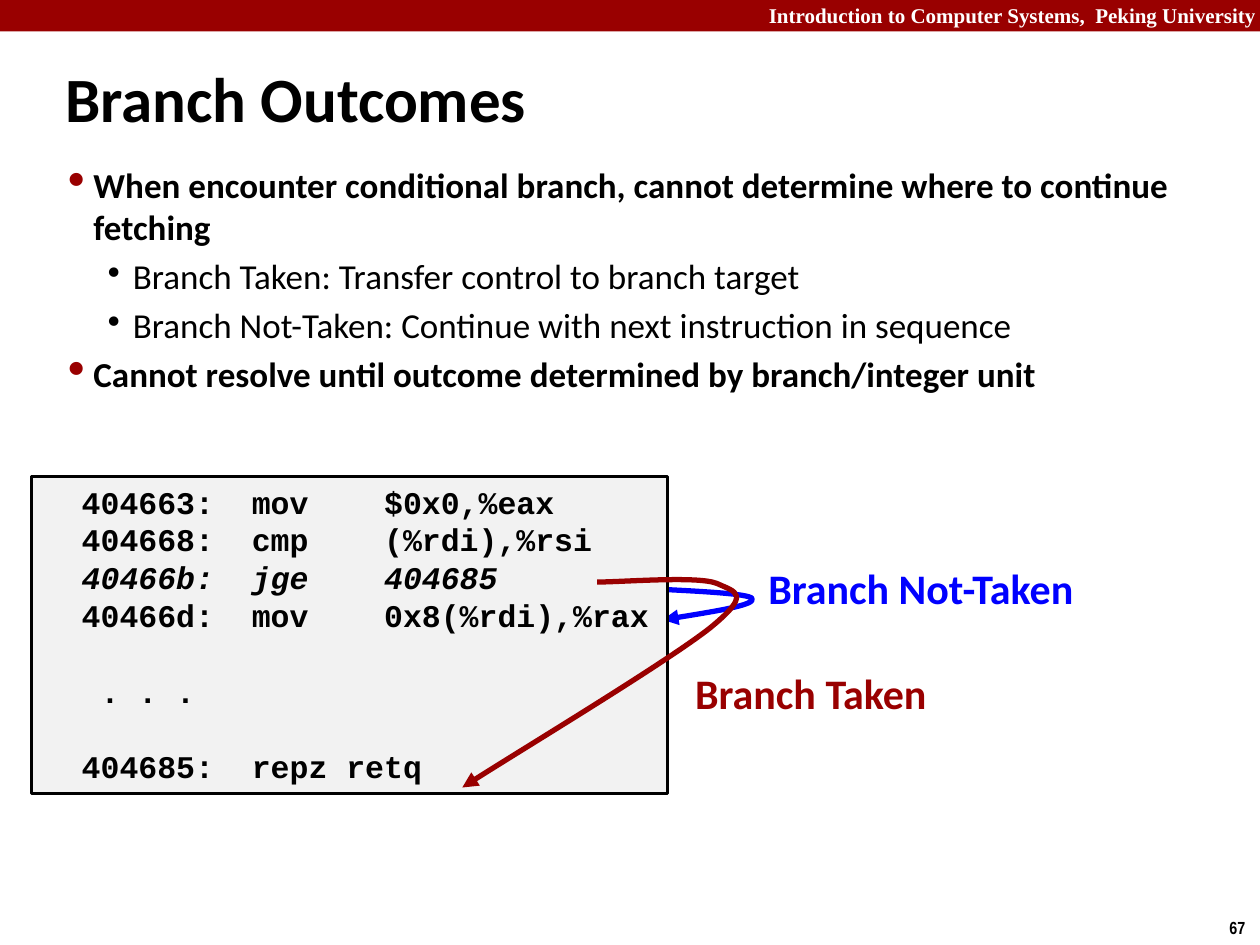
from pptx import Presentation
from pptx.dml.color import RGBColor
from pptx.enum.shapes import MSO_SHAPE
from pptx.enum.text import MSO_ANCHOR, PP_ALIGN
from pptx.oxml.ns import qn
from pptx.util import Pt
from lxml import etree

RECTANGLE = MSO_SHAPE.RECTANGLE
LEFT, RIGHT = PP_ALIGN.LEFT, PP_ALIGN.RIGHT
TOP, MIDDLE = MSO_ANCHOR.TOP, MSO_ANCHOR.MIDDLE

RED = RGBColor(0x99, 0x00, 0x00)
BLUE = RGBColor(0x00, 0x00, 0xFF)
BLACK = RGBColor(0x00, 0x00, 0x00)
WHITE = RGBColor(0xFF, 0xFF, 0xFF)
GRAY = RGBColor(0xF2, 0xF2, 0xF2)

COURSE = "Introduction to Computer Systems,  Peking University"
TITLE = "Branch Outcomes"
PAGE_NUMBER = "67"
BULLETS = [
    (1, "When encounter conditional branch, cannot determine where to continue fetching"),
    (2, "Branch Taken: Transfer control to branch target"),
    (2, "Branch Not-Taken: Continue with next instruction in sequence"),
    (1, "Cannot resolve until outcome determined by branch/integer unit"),
]
LEVELS = {
    1: {"indent": 22.5, "bold": True, "color": RED, "size": 110},
    2: {"indent": 45, "bold": False, "color": BLACK, "size": 80},
}
HANGING = 13.5
CODE = [
    "  404663:  mov    $0x0,%eax",
    "  404668:  cmp    (%rdi),%rsi",
    "  40466b:  jge    404685",
    "  40466d:  mov    0x8(%rdi),%rax",
    "",
    "   . . .",
    "",
    "  404685:  repz retq",
]
BRANCH_LINE = 2
LABELS = [
    ("Branch Taken", RED, (390.2, 378, 148.3, 36)),
    ("Branch Not-Taken", BLUE, (432, 318.2, 195.8, 36)),
]
NOT_TAKEN_CURVE = [
    (365.8, 336.2), (396.7, 337.7), (427.7, 339.1), (429.8, 342),
    (432, 345.6), (405.4, 349.9), (378.7, 354.2),
]
TAKEN_CURVE = [
    (341.3, 332.6), (355.7, 332.6), (398.9, 329), (409.7, 333.4),
    (420.5, 338.4), (429.8, 339.1), (406.1, 358.6),
    (381.6, 378), (287.3, 434.9), (264.2, 450),
]


def set_font(paragraph, name, size, color, bold=True):
    font = paragraph.font
    font.name, font.size, font.bold = name, Pt(size), bold
    font.color.rgb = color


def add_text(page, text, frame, name, size, color, align=LEFT, anchor=TOP, wrap=False):
    box = page.shapes.add_textbox(*map(Pt, frame))
    box.text_frame.word_wrap = wrap
    box.text_frame.vertical_anchor = anchor
    paragraph = box.text_frame.paragraphs[0]
    paragraph.text = text
    paragraph.alignment = align
    set_font(paragraph, name, size, color)


def add_rectangle(page, frame, fill):
    shape = page.shapes.add_shape(RECTANGLE, *map(Pt, frame))
    shape.shadow.inherit = False
    shape.fill.solid()
    shape.fill.fore_color.rgb = fill
    shape.line.fill.background()
    return shape


def add_bullet(paragraph, indent, color, size):
    properties = paragraph._p.get_or_add_pPr()
    properties.set("marL", str(Pt(indent)))
    properties.set("indent", str(-Pt(HANGING)))
    bullet_color = etree.SubElement(properties, qn("a:buClr"))
    etree.SubElement(bullet_color, qn("a:srgbClr"), val=str(color))
    etree.SubElement(properties, qn("a:buSzPct"), val=str(size * 1000))
    etree.SubElement(properties, qn("a:buFont"), typeface="Wingdings 2")
    etree.SubElement(properties, qn("a:buChar"), char="▪")


def add_bullets(page):
    box = page.shapes.add_textbox(Pt(23.8), Pt(90), Pt(689.8), Pt(144))
    frame = box.text_frame
    frame.word_wrap = True
    for index, (level, text) in enumerate(BULLETS):
        style = LEVELS[level]
        paragraph = frame.add_paragraph() if index else frame.paragraphs[0]
        paragraph.text = text
        if index:
            paragraph.space_before = Pt(4)
        add_bullet(paragraph, style["indent"], style["color"], style["size"])
        set_font(paragraph, "Calibri", 20, BLACK, style["bold"])


def add_code(page):
    box = add_rectangle(page, (18, 272.2, 363.6, 181.4), GRAY)
    box.line.color.rgb = BLACK
    box.line.width = Pt(1.5)
    frame = box.text_frame
    frame.word_wrap = False
    frame.vertical_anchor = TOP
    for index, line in enumerate(CODE):
        paragraph = frame.add_paragraph() if index else frame.paragraphs[0]
        paragraph.text = line
        paragraph.alignment = LEFT
        paragraph.line_spacing = Pt(21.6)
        set_font(paragraph, "Courier New", 18, BLACK)
        paragraph.font.italic = index == BRANCH_LINE


def add_curved_arrow(page, points, color):
    start, *rest = [(Pt(x), Pt(y)) for x, y in points]
    builder = page.shapes.build_freeform(*start)
    builder.add_line_segments(rest, close=False)
    arrow = builder.convert_to_shape()
    outline = arrow._element.find(".//" + qn("a:path"))
    segments = outline.findall(qn("a:lnTo"))
    for first in range(0, len(segments), 3):
        curve = etree.SubElement(outline, qn("a:cubicBezTo"))
        for segment in segments[first:first + 3]:
            curve.append(segment[0])
            outline.remove(segment)
    arrow.shadow.inherit = False
    arrow.fill.background()
    arrow.line.color.rgb = color
    arrow.line.width = Pt(3)
    etree.SubElement(arrow.line._get_or_add_ln(), qn("a:tailEnd"), type="triangle")


def main():
    deck = Presentation()
    deck.slide_width, deck.slide_height = Pt(720), Pt(540)
    page = deck.slides.add_slide(deck.slide_layouts[6])
    add_rectangle(page, (0, 0, 720, 18), RED)
    add_text(page, COURSE, (432, -2.2, 293, 21.6), "Times New Roman", 12, WHITE, RIGHT, wrap=True)
    add_text(page, PAGE_NUMBER, (695.5, 520.6, 24.5, 19.4), "Arial Narrow", 10, BLACK)
    add_text(page, TITLE, (30.2, 33.1, 467.3, 45.4), "Calibri", 36, BLACK, anchor=MIDDLE, wrap=True)
    add_bullets(page)
    add_curved_arrow(page, NOT_TAKEN_CURVE, BLUE)
    for text, color, frame in LABELS:
        add_text(page, text, frame, "Calibri", 24, color)
    add_code(page)
    add_curved_arrow(page, TAKEN_CURVE, RED)
    deck.save("out.pptx")


if __name__ == "__main__":
    main()
